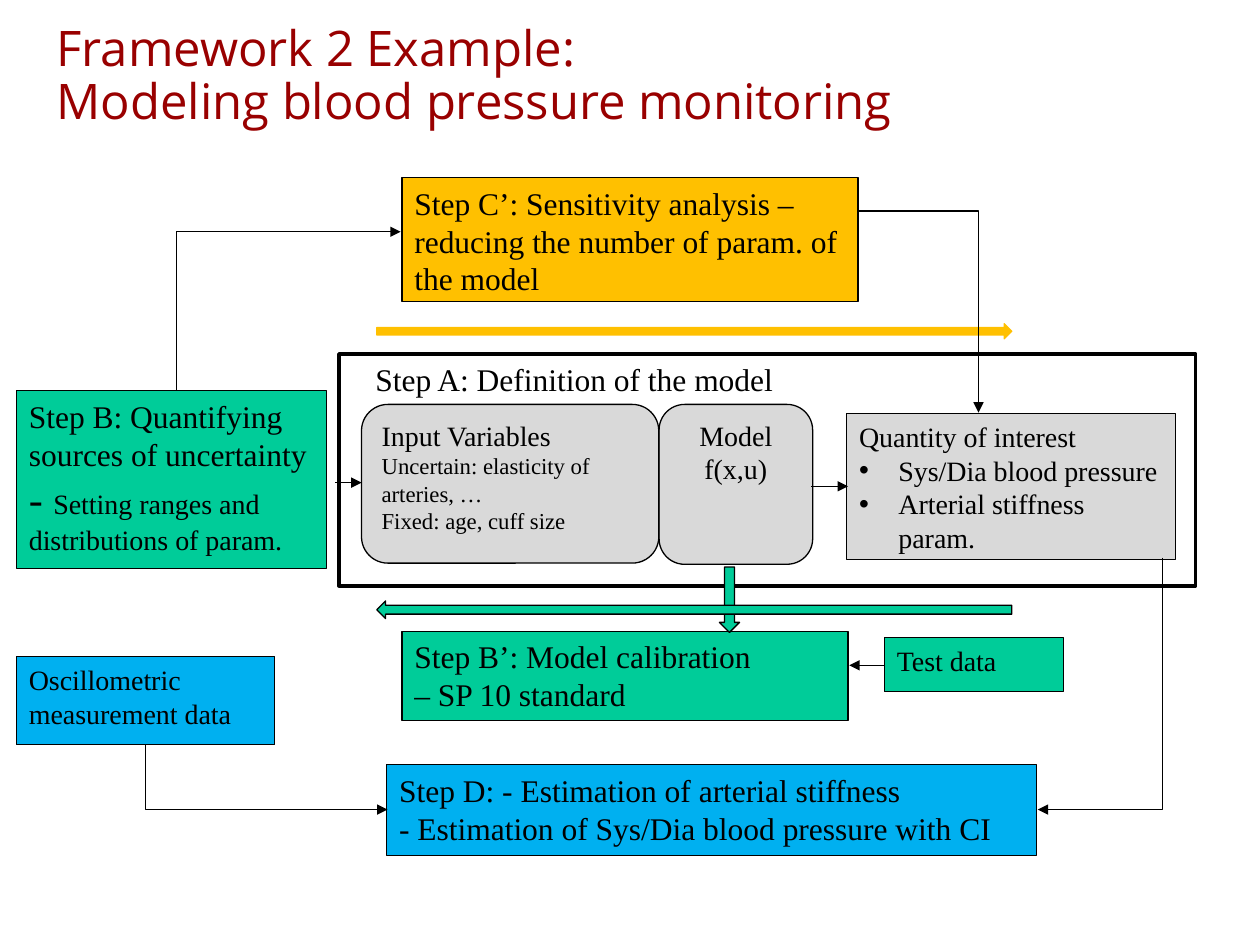
from lxml.etree import SubElement
from pptx import Presentation
from pptx.dml.color import RGBColor
from pptx.enum.shapes import MSO_CONNECTOR, MSO_SHAPE
from pptx.enum.text import MSO_ANCHOR, PP_ALIGN
from pptx.oxml.ns import qn
from pptx.util import Pt

BLACK = RGBColor(0, 0, 0)
WHITE = RGBColor(0xFF, 0xFF, 0xFF)
DARK_RED = RGBColor(0x99, 0, 0)
GREY = RGBColor(0xD9, 0xD9, 0xD9)
AMBER = RGBColor(0xFF, 0xC0, 0)
GREEN = RGBColor(0, 0xCC, 0x99)
BLUE = RGBColor(0, 0xB0, 0xF0)

TITLE = "Framework 2 Example: \vModeling blood pressure monitoring"
BODY_FONT = "Times New Roman"
BULLET_INDENT = 22.5
RECT, PROCESS = MSO_SHAPE.RECTANGLE, MSO_SHAPE.FLOWCHART_PROCESS
ROUNDED = MSO_SHAPE.FLOWCHART_ALTERNATE_PROCESS
LEFT, CENTER, BULLET = "left", "center", "bullet"

# Paragraphs: (style, [(text, size), ...])
MODEL = [(CENTER, [("Model", 16)]), (CENTER, [("f(x,u)", 16)])]
INTEREST = [(LEFT, [("Quantity of interest", 16)]),
            (BULLET, [("Sys/Dia blood pressure", 16)]),
            (BULLET, [("Arterial stiffness param.", 16)])]
SENSITIVITY = [(LEFT, [("Step C’: Sensitivity analysis – reducing the number of param. of the model", 18)])]
CALIBRATION = [(LEFT, [("Step B’: Model calibration ", 18)]),
               (LEFT, [("– SP 10 standard", 18)])]
INPUTS = [(LEFT, [("Input Variables", 16)]),
          (LEFT, [("Uncertain: elasticity of arteries, …", 13)]),
          (LEFT, [("Fixed: age, cuff size", 13)])]
ESTIMATION = [(LEFT, [("Step D: - Estimation of arterial stiffness", 18)]),
              (LEFT, [("- Estimation of Sys/Dia blood pressure with CI", 18)])]
UNCERTAINTY = [(LEFT, [("Step B: Quantifying sources of uncertainty", 18)]),
               (LEFT, [("- ", 24), ("Setting ranges and distributions of param. ", 16)])]
MODEL_HEADING = [(LEFT, [("Step A: Definition of the model", 18)])]
TEST_DATA = [(LEFT, [("Test data", 16)])]
MEASUREMENT = [(LEFT, [("Oscillometric measurement data", 16)])]

# Shapes: (kind, (left, top, width, height), fill, line, line width, paragraphs)
FRAME = (RECT, (193.7, 202.3, 489.6, 132.5), WHITE, BLACK, 2, [])
HEADING_BOX = (207.4, 202.3, 283, 29)
SHAPES = [
    (ROUNDED, (376.6, 231.1, 87.8, 91.4), GREY, BLACK, 0.75, MODEL),
    (PROCESS, (483.8, 236.2, 187.9, 83.5), GREY, BLACK, 0.75, INTEREST),
    (PROCESS, (229.7, 101.5, 260.6, 70.6), AMBER, BLACK, 0.75, SENSITIVITY),
    (PROCESS, (229.7, 360.7, 254.9, 51.1), GREEN, BLACK, 0.75, CALIBRATION),
    (PROCESS, (505.4, 364.3, 102.2, 31), GREEN, BLACK, 0.75, TEST_DATA),
    (ROUNDED, (206.6, 231.1, 169.9, 90.7), GREY, BLACK, 0.75, INPUTS),
    (MSO_SHAPE.DOWN_ARROW, (411.1, 324, 11.5, 37.4), GREEN, BLACK, 0.75, []),
    (MSO_SHAPE.RIGHT_ARROW, (215.3, 185, 362.9, 8.6), AMBER, AMBER, 0.75, []),
    (MSO_SHAPE.LEFT_ARROW, (215.3, 343.4, 362.9, 10.1), GREEN, BLACK, 0.75, []),
    (PROCESS, (9.4, 375.1, 147.6, 50.4), BLUE, BLACK, 0.75, MEASUREMENT),
    (PROCESS, (221, 437, 371.5, 51.8), BLUE, BLACK, 0.75, ESTIMATION),
    (PROCESS, (9.4, 223.2, 177.1, 101.5), GREEN, BLACK, 0.75, UNCERTAINTY),
]

# Straight arrows: (begin x, begin y, end x, end y)
ARROWS = [
    (505.4, 380.2, 485.3, 380.2),
    (463.7, 277.9, 484.6, 277.9),
    (191.5, 275.8, 206.6, 275.8),
]
# Elbow arrows before turning: (begin x, begin y, end x, end y), degrees, preset, bend
ELBOWS = [
    ((583.2, 143.3, 466.6, 211.7), 270, "bentConnector3", 1200),
    ((170.6, 375.1, 133.9, 513.4), 270, "bentConnector2", None),
    ((556.6, 355, 700.6, 426.3), 90, "bentConnector2", None),
    ((99.4, 223.2, 229, 132.5), 0, "bentConnector3", 1000),
]


def apply(target, values):
    for name, value in values.items():
        setattr(target, name, value)


def write(text_frame, paragraphs):
    apply(text_frame, {"word_wrap": True, "vertical_anchor": MSO_ANCHOR.TOP})
    for index, (style, runs) in enumerate(paragraphs):
        paragraph = text_frame.paragraphs[0] if index == 0 else text_frame.add_paragraph()
        paragraph.alignment = PP_ALIGN.CENTER if style == CENTER else PP_ALIGN.LEFT
        if style == BULLET:
            properties = paragraph._p.get_or_add_pPr()
            properties.set("marL", str(Pt(BULLET_INDENT)))
            properties.set("indent", str(-Pt(BULLET_INDENT)))
            SubElement(properties, qn("a:buFont")).set("typeface", "Arial")
            SubElement(properties, qn("a:buChar")).set("char", "•")
        for text, size in runs:
            run = paragraph.add_run()
            run.text = text
            apply(run.font, {"name": BODY_FONT, "size": Pt(size)})
            run.font.color.rgb = BLACK


def add_box(kind, box, fill, line, width, paragraphs):
    shape = slide.shapes.add_shape(kind, *map(Pt, box))
    shape.shadow.inherit = False
    shape.fill.solid()
    shape.fill.fore_color.rgb = fill
    shape.line.color.rgb = line
    shape.line.width = Pt(width)
    if paragraphs:
        write(shape.text_frame, paragraphs)


def add_arrow(kind, ends):
    connector = slide.shapes.add_connector(kind, *map(Pt, ends))
    connector.line.color.rgb = BLACK
    connector.line.width = Pt(0.75)
    SubElement(connector.line._get_or_add_ln(), qn("a:tailEnd")).set("type", "triangle")
    SubElement(connector._element.spPr, qn("a:effectLst"))
    return connector


presentation = Presentation()
apply(presentation, {"slide_width": Pt(720), "slide_height": Pt(540)})
slide = presentation.slides.add_slide(presentation.slide_layouts[5])

# Title
title = slide.shapes.title
apply(title, {"left": Pt(25.2), "top": Pt(7.9), "width": Pt(581.8), "height": Pt(72)})
title.text_frame.text = TITLE
apply(title.text_frame, {"word_wrap": True, "vertical_anchor": MSO_ANCHOR.MIDDLE})
heading = title.text_frame.paragraphs[0]
apply(heading, {"alignment": PP_ALIGN.LEFT, "line_spacing": 0.9})
for run in heading.runs:
    apply(run.font, {"name": "Open Sans", "size": Pt(28)})
    run.font.color.rgb = DARK_RED

# Model frame with its heading, then the steps
add_box(*FRAME)
write(slide.shapes.add_textbox(*map(Pt, HEADING_BOX)).text_frame, MODEL_HEADING)
for entry in SHAPES:
    add_box(*entry)

# Arrows between the steps
for ends in ARROWS:
    add_arrow(MSO_CONNECTOR.STRAIGHT, ends)
for ends, degrees, preset, bend in ELBOWS:
    properties = add_arrow(MSO_CONNECTOR.ELBOW, ends)._element.spPr
    properties.find(qn("a:xfrm")).set("rot", str(degrees * 60000))
    geometry = properties.find(qn("a:prstGeom"))
    geometry.set("prst", preset)
    if bend is not None:
        guide = SubElement(geometry.find(qn("a:avLst")), qn("a:gd"))
        guide.set("name", "adj1")
        guide.set("fmla", f"val {bend}")

presentation.save("out.pptx")
